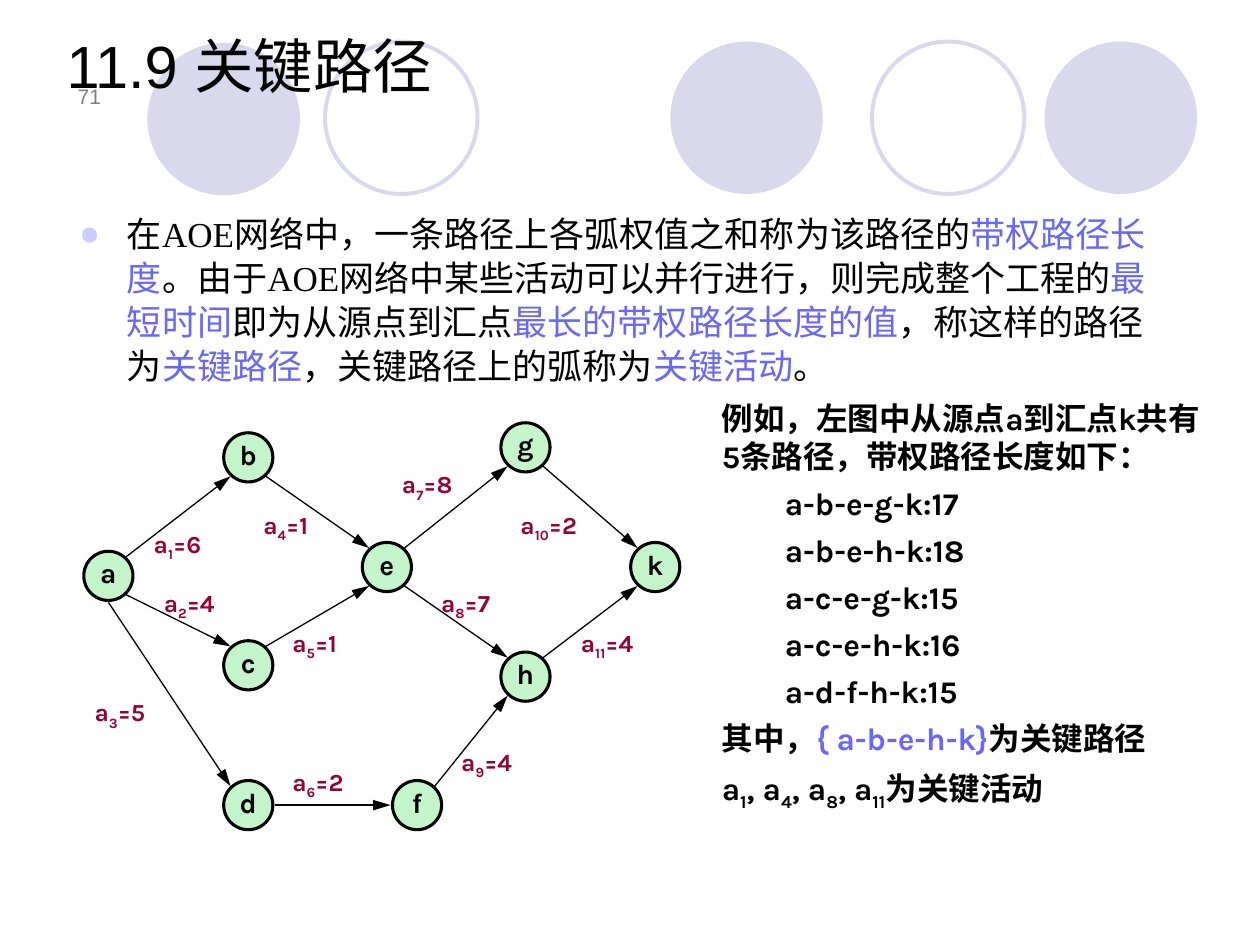
from dataclasses import dataclass

from lxml.etree import SubElement
from pptx import Presentation
from pptx.dml.color import RGBColor
from pptx.enum.shapes import MSO_CONNECTOR, MSO_SHAPE
from pptx.enum.text import MSO_ANCHOR, MSO_AUTO_SIZE, PP_ALIGN
from pptx.oxml.ns import qn
from pptx.util import Inches, Pt


@dataclass(frozen=True)
class Theme:
    ink: str = "000000"
    accent: str = "6767FF"
    bullet: str = "CCCCFF"
    circle: str = "D9D8EC"
    node: str = "C4F4C9"
    weight: str = "990033"
    muted: str = "808080"
    title_font: str = "Arial"
    body_font: str = "Times New Roman"
    graph_font: str = "Karla"
    title_size: float = 34
    body_size: float = 20
    example_size: float = 18
    node_size: float = 16
    label_size: float = 14
    number_size: float = 12


@dataclass(frozen=True)
class Span:
    text: str
    color: str = Theme.ink
    subscript: bool = False


class SlideBuilder:
    def __init__(self, page, theme):
        self.page = page
        self.theme = theme

    def add_spans(self, para, spans, font, size, bold=False):
        for span in spans:
            run = para.add_run()
            run.text = span.text
            run.font.name = font
            run.font.size = Pt(size)
            run.font.bold = bold
            run.font.color.rgb = RGBColor.from_string(span.color)
            if span.subscript:
                run._r.get_or_add_rPr().set("baseline", "-25000")

    def text(self, left, top, width, height, lines, font, size, bold=False,
             anchor=MSO_ANCHOR.TOP, align=PP_ALIGN.LEFT, inset=True, grow=False):
        box = self.page.shapes.add_textbox(
            Inches(left), Inches(top), Inches(width), Inches(height))
        frame = box.text_frame
        frame.word_wrap = True
        frame.vertical_anchor = anchor
        if grow:
            frame.auto_size = MSO_AUTO_SIZE.SHAPE_TO_FIT_TEXT
        if not inset:
            frame.margin_left = frame.margin_right = 0
            frame.margin_top = frame.margin_bottom = 0
        for index, spans in enumerate(lines):
            para = frame.paragraphs[0] if index == 0 else frame.add_paragraph()
            para.alignment = align
            self.add_spans(para, spans, font, size, bold)
        return frame

    def bullet(self, para, indent):
        para.line_spacing = 1.05
        properties = para._p.get_or_add_pPr()
        properties.set("marL", str(Inches(indent)))
        properties.set("indent", str(-Inches(indent)))
        color = SubElement(properties, qn("a:buClr"))
        SubElement(color, qn("a:srgbClr"), val=self.theme.bullet)
        SubElement(properties, qn("a:buFont"), typeface=self.theme.title_font)
        SubElement(properties, qn("a:buChar"), char="●")

    def circle(self, left, top, size, fill=None, line=None, line_width=0):
        shape = self.page.shapes.add_shape(
            MSO_SHAPE.OVAL, Inches(left), Inches(top), Inches(size), Inches(size))
        shape.shadow.inherit = False
        if fill:
            shape.fill.solid()
            shape.fill.fore_color.rgb = RGBColor.from_string(fill)
        else:
            shape.fill.background()
        if line:
            shape.line.color.rgb = RGBColor.from_string(line)
            shape.line.width = Pt(line_width)
        else:
            shape.line.fill.background()
        return shape

    def node(self, name, center, size):
        left, top = (value - size / 2 for value in center)
        shape = self.circle(left, top, size, self.theme.node, self.theme.ink, 1.75)
        frame = shape.text_frame
        frame.word_wrap = False
        frame.vertical_anchor = MSO_ANCHOR.MIDDLE
        para = frame.paragraphs[0]
        para.alignment = PP_ALIGN.CENTER
        para.line_spacing = 0.8
        self.add_spans(para, [Span(name)], self.theme.graph_font, self.theme.node_size, True)

    def arrow(self, start, end):
        line = self.page.shapes.add_connector(
            MSO_CONNECTOR.STRAIGHT, *(Inches(value) for value in (*start, *end)))
        line.line.color.rgb = RGBColor.from_string(self.theme.ink)
        line.line.width = Pt(0.75)
        SubElement(line.line._get_or_add_ln(), qn("a:tailEnd"),
                   type="triangle", w="med", len="lg")
        SubElement(line._element.spPr, qn("a:effectLst"))

    def edge(self, start, end):
        run, rise = end[0] - start[0], end[1] - start[1]
        side = (rise > 0) - (rise < 0)
        leave = enter = (0.14, 0.15 * side)
        if side == 0:
            leave = enter = (0.21, 0)
        elif rise > 1.5 * run:
            leave = (0, 0.21)
        self.arrow((start[0] + leave[0], start[1] + leave[1]),
                   (end[0] - enter[0], end[1] - enter[1]))

    def weight(self, number, value, left, top):
        color = self.theme.weight
        spans = [Span("a", color), Span(str(number), color, True), Span(f"={value}", color)]
        frame = self.text(left, top, 0.71, 0.19, [spans], self.theme.graph_font,
                          self.theme.label_size, True, inset=False, grow=True)
        frame.paragraphs[0].line_spacing = 0.8


FILLED_CIRCLES = [(5.32, 0.33), (8.29, 0.33), (1.17, 0.34)]
OPEN_CIRCLES = [(6.92, 0.33), (2.58, 0.33)]
NODES = {
    "a": (0.86, 4.57), "b": (1.97, 3.63), "c": (1.97, 5.28), "d": (1.97, 6.39),
    "e": (3.07, 4.5), "f": (3.31, 6.39), "g": (4.17, 3.55), "h": (4.17, 5.37),
    "k": (5.2, 4.5),
}
EDGES = [
    ("ab", 6, 1.22, 4.22), ("ac", 4, 1.3, 4.69), ("ad", 5, 0.75, 5.56),
    ("be", 1, 2.09, 4.07), ("ce", 1, 2.32, 5.01), ("df", 2, 2.32, 6.11),
    ("eg", 8, 3.19, 3.75), ("eh", 7, 3.5, 4.69), ("fh", 4, 3.66, 5.95),
    ("gk", 2, 4.13, 4.07), ("hk", 4, 4.61, 5.01),
]
DEFINITION = [
    Span("在AOE网络中，一条路径上各弧权值之和称为该路径的"),
    Span("带权路径长度", Theme.accent),
    Span("。由于AOE网络中某些活动可以并行进行，则完成整个工程的"),
    Span("最短时间", Theme.accent),
    Span("即为从源点到汇点"),
    Span("最长的带权路径长度的值", Theme.accent),
    Span("，称这样的路径为"),
    Span("关键路径", Theme.accent),
    Span("，关键路径上的弧称为"),
    Span("关键活动", Theme.accent),
    Span("。"),
]
PATHS = ["a-b-e-g-k:17", "a-b-e-h-k:18", "a-c-e-g-k:15", "a-c-e-h-k:16", "a-d-f-h-k:15"]
EXAMPLE = [
    [Span("例如，左图中从源点a到汇点k共有5条路径，带权路径长度如下：")],
    *([Span(f"\t{route}")] for route in PATHS),
    [Span("其中，"), Span("{ a-b-e-h-k}", Theme.accent), Span("为关键路径")],
    [Span("a"), Span("1", subscript=True), Span(", a"), Span("4", subscript=True),
     Span(", a"), Span("8", subscript=True), Span(", a"), Span("11", subscript=True),
     Span("为关键活动")],
]


def main():
    deck = Presentation()
    deck.slide_width, deck.slide_height = Inches(10), Inches(7.5)
    theme = Theme()
    slide = SlideBuilder(deck.slides.add_slide(deck.slide_layouts[6]), theme)

    for left, top in FILLED_CIRCLES:
        slide.circle(left, top, 1.21, fill=theme.circle)
    for left, top in OPEN_CIRCLES:
        slide.circle(left, top, 1.21, line=theme.circle, line_width=2.25)

    slide.text(0.35, 0.44, 0.55, 0.47, [[Span("71", theme.muted)]], theme.title_font,
               theme.number_size, anchor=MSO_ANCHOR.BOTTOM, align=PP_ALIGN.RIGHT)
    definition = slide.text(0.53, 1.62, 8.86, 1.43, [DEFINITION],
                            theme.body_font, theme.body_size)
    slide.bullet(definition.paragraphs[0], 0.38)

    for name, center in NODES.items():
        slide.node(name, center, 0.39)
    for (start, end), *_ in EDGES:
        slide.edge(NODES[start], NODES[end])
    for number, (_, value, left, top) in enumerate(EDGES, 1):
        slide.weight(number, value, left, top)

    example = slide.text(5.63, 3.12, 4.02, 3.44, EXAMPLE, theme.graph_font,
                         theme.example_size, True, grow=True)
    for para in example.paragraphs[1:]:
        para.line_spacing = 0.8
        para.space_before = Pt(9.5)

    slide.text(0.43, 0.21, 9, 0.64, [[Span("11.9 关键路径")]], theme.title_font,
               theme.title_size, anchor=MSO_ANCHOR.BOTTOM)
    deck.save("out.pptx")


if __name__ == "__main__":
    main()
